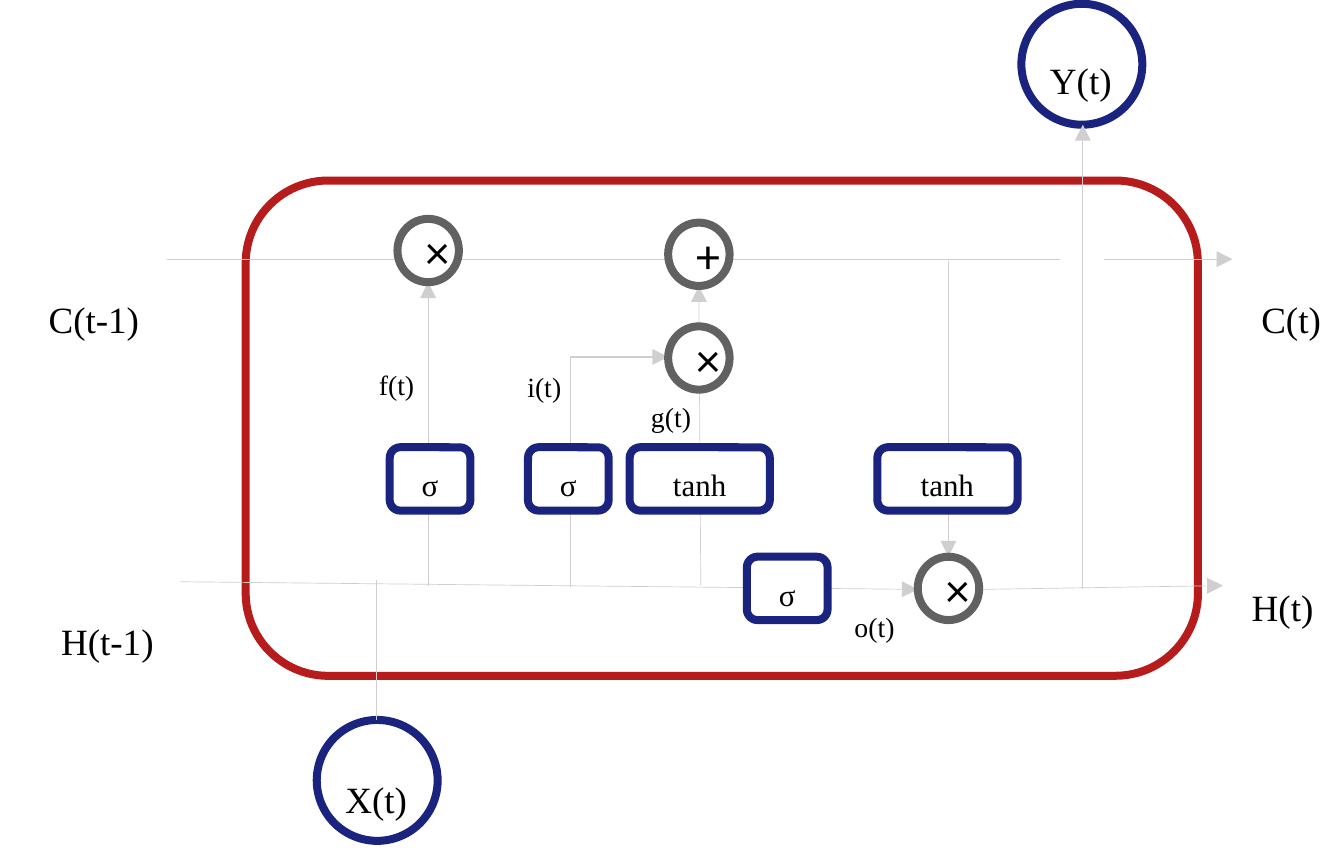
import pptx
import pptx.dml.color
import pptx.enum.shapes
import pptx.enum.text
import pptx.oxml.ns
import pptx.util
from dataclasses import dataclass
from lxml import etree

Inches = pptx.util.Inches
Preset = pptx.enum.shapes.MSO_SHAPE
Connector = pptx.enum.shapes.MSO_CONNECTOR
qn = pptx.oxml.ns.qn


@dataclass(frozen=True)
class Theme:
    """Colours, fonts and sizes of the diagram."""
    ink: str = "000000"
    paper: str = "FFFFFF"
    cell: str = "B71C1C"
    layer: str = "1A237E"
    operator: str = "616161"
    wire: str = "D0CECE"
    serif: str = "Times New Roman"
    sans: str = "Calibri"
    state_size: int = 24
    layer_size: int = 20
    small_size: int = 18
    outline: float = 3
    thin: float = 0.25


def color(code):
    """Turn a hex code into a colour."""
    return pptx.dml.color.RGBColor.from_string(code)


def write(shape, text, *, font, size, ink, spacing=None, lowered=True):
    """Put one centred paragraph into a shape."""
    frame = shape.text_frame
    frame.word_wrap = True
    paragraph = frame.paragraphs[0]
    paragraph.alignment = pptx.enum.text.PP_ALIGN.CENTER
    if spacing:
        paragraph.line_spacing = spacing
    run = paragraph.add_run()
    run.text = text
    run.font.name = font
    run.font.size = pptx.util.Pt(size)
    run.font.color.rgb = color(ink)
    if lowered:
        run.font._element.set("baseline", "-25000")


class Diagram:
    """Draws the elements of a memory cell on one slide."""

    def __init__(self, slide, theme):
        """Keep the slide and its style."""
        self.slide = slide
        self.theme = theme

    def shape(self, preset, box, line=None, fill=None):
        """Add a preset shape, outlined or filled as asked."""
        shape = self.slide.shapes.add_shape(preset, *map(Inches, box))
        shape.shadow.inherit = False
        if fill:
            shape.fill.solid()
            shape.fill.fore_color.rgb = color(fill)
        else:
            shape.fill.background()
        if line:
            shape.line.color.rgb = color(line)
            shape.line.width = pptx.util.Pt(self.theme.outline)
        else:
            shape.line.fill.background()
        return shape

    def layer(self, text, left, top, width):
        """Add a rounded box for a network layer."""
        theme = self.theme
        shape = self.shape(Preset.ROUNDED_RECTANGLE, (left, top, width, 0.33),
                           theme.layer, theme.paper)
        write(shape, text, font=theme.serif, size=theme.layer_size,
              ink=theme.ink, spacing=0.2)

    def operator(self, text, left, top):
        """Add a small circle for a pointwise operation."""
        theme = self.theme
        shape = self.shape(Preset.OVAL, (left, top, 0.32, 0.33),
                           theme.operator, theme.paper)
        write(shape, text, font=theme.sans, size=theme.small_size,
              ink=theme.ink, lowered=False)

    def label(self, text, box, size, spacing=None):
        """Add a free label that grows with its text."""
        shape = self.slide.shapes.add_textbox(*map(Inches, box))
        write(shape, text, font=self.theme.serif, size=size,
              ink=self.theme.ink, spacing=spacing)
        shape.text_frame.auto_size = pptx.enum.text.MSO_AUTO_SIZE.SHAPE_TO_FIT_TEXT

    def wire(self, start, end, arrow=True, kind=Connector.STRAIGHT, width=None):
        """Add a thin connector, by default with an arrowhead."""
        connector = self.slide.shapes.add_connector(
            kind, *map(Inches, (*start, *end)))
        connector.line.color.rgb = color(self.theme.wire)
        connector.line.width = pptx.util.Pt(width or self.theme.thin)
        if arrow:
            etree.SubElement(connector.line._get_or_add_ln(), qn("a:tailEnd"),
                             type="triangle")
        etree.SubElement(connector._element.spPr, qn("a:effectLst"))
        return connector

    def corner_wire(self, start, end):
        """Add a connector that rises and then turns right."""
        middle_x, middle_y = (start[0] + end[0]) / 2, (start[1] + end[1]) / 2
        half_rise, half_run = (start[1] - end[1]) / 2, (end[0] - start[0]) / 2
        connector = self.wire((middle_x + half_rise, middle_y + half_run),
                              (middle_x - half_rise, middle_y - half_run),
                              kind=Connector.ELBOW, width=0.5)
        properties = connector._element.spPr
        properties.find(qn("a:xfrm")).set("rot", str(90 * 60000))
        properties.find(qn("a:prstGeom")).set("prst", "bentConnector2")


def main():
    """Build the slide and save it."""
    presentation = pptx.Presentation()
    presentation.slide_width, presentation.slide_height = Inches(7), Inches(4.5)
    slide = presentation.slides.add_slide(presentation.slide_layouts[6])
    theme = Theme()
    diagram = Diagram(slide, theme)

    diagram.corner_wire((2.97, 3.06), (3.48, 1.86))
    diagram.shape(Preset.ROUNDED_RECTANGLE, (1.28, 0.94, 4.96, 2.58), theme.cell)
    for left, top in ((1.65, 3.75), (5.32, 0.02)):
        diagram.shape(Preset.OVAL, (left, top, 0.63, 0.63), theme.layer)

    for text, box, spacing in (
            ("X(t)", (1.58, 3.92, 0.76, 0.25), 0.5),
            ("Y(t)", (5.25, 0.18, 0.76, 0.25), 0.5),
            ("H(t)", (6.37, 2.92, 0.62, 0.25), 0.5),
            ("H(t-1)", (0.18, 2.95, 0.76, 0.16), None),
            ("C(t-1)", (0.11, 1.27, 0.76, 0.16), None),
            ("C(t)", (6.42, 1.27, 0.61, 0.16), None)):
        diagram.label(text, box, theme.state_size, spacing)

    for start, end in (((0.87, 1.35), (6.42, 1.35)),
                       ((2.23, 3.05), (2.23, 1.47)),
                       ((0.94, 3.03), (4.78, 3.07)),
                       ((3.65, 3.05), (3.64, 1.49)),
                       ((5.11, 3.07), (6.37, 3.05)),
                       ((4.94, 1.36), (4.94, 2.9))):
        diagram.wire(start, end)
    diagram.wire((1.96, 3.75), (1.96, 3.02), arrow=False)

    for text, left, top in (("×", 2.07, 1.14), ("+", 3.48, 1.16),
                            ("×", 3.48, 1.7), ("×", 4.78, 2.9)):
        diagram.operator(text, left, top)
    for text, left, top, width in (("σ", 2.03, 2.33, 0.42),
                                   ("σ", 2.75, 2.33, 0.42),
                                   ("tanh", 3.28, 2.33, 0.73),
                                   ("tanh", 4.57, 2.33, 0.73),
                                   ("σ", 3.89, 2.9, 0.42)):
        diagram.layer(text, left, top, width)
    for text, left, top in (("f(t)", 1.84, 1.81), ("i(t)", 2.61, 1.82),
                            ("g(t)", 3.27, 1.98), ("o(t)", 4.33, 3.07)):
        diagram.label(text, (left, top, 0.45, 0.22), theme.small_size, 0.5)

    diagram.shape(Preset.RECTANGLE, (5.52, 1.18, 0.23, 0.35), fill=theme.paper)
    diagram.wire((5.64, 3.07), (5.64, 0.65))
    presentation.save("out.pptx")


main()
